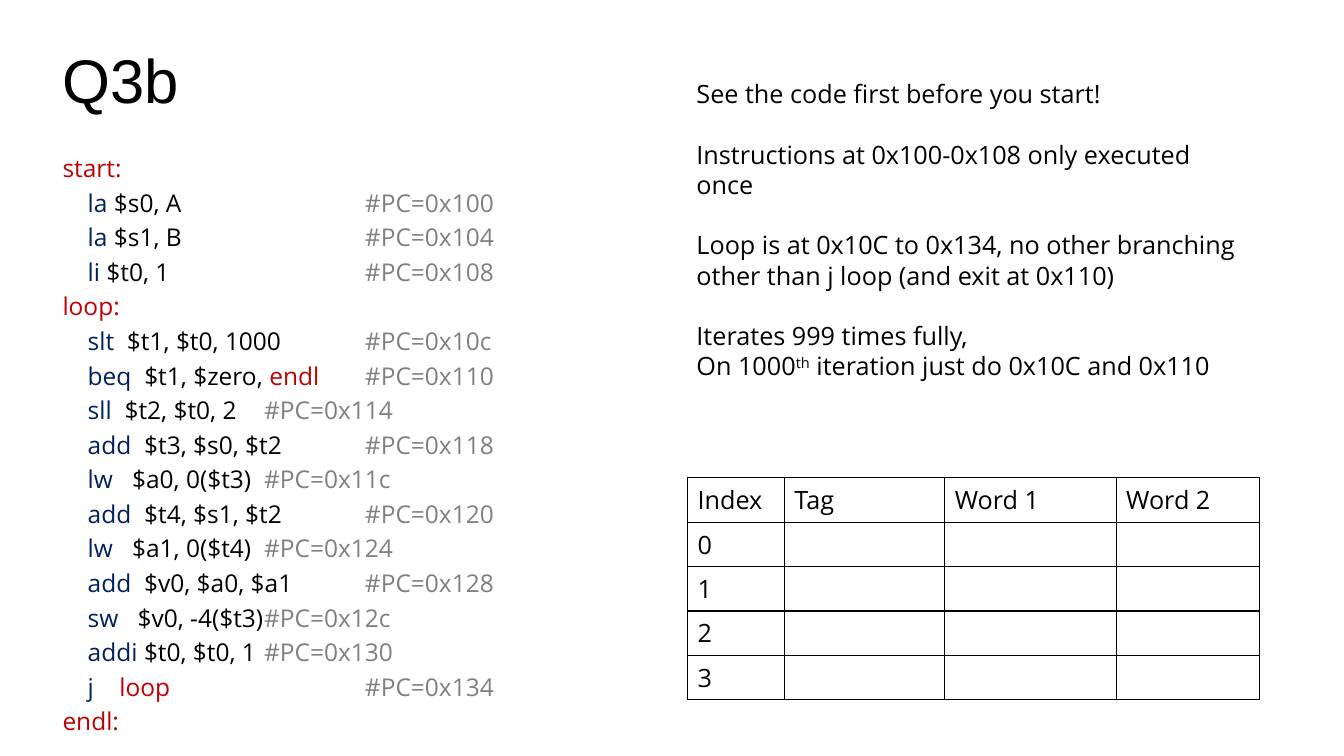
from lxml.etree import SubElement
from pptx import Presentation
from pptx.dml.color import RGBColor
from pptx.enum.text import MSO_ANCHOR, MSO_AUTO_SIZE, PP_ALIGN
from pptx.oxml.ns import qn
from pptx.util import Inches, Pt

BLACK, RED, NAVY, GRAY = "000000", "C00000", "002060", "808080"
CODE_FONT = "Open Sans"

CODE = [
    ("start:",),
    ("la", " $s0, A", "", "\t\t#PC=0x100"),
    ("la", " $s1, B", "", "\t\t#PC=0x104"),
    ("li", " $t0, 1", "", "\t\t#PC=0x108"),
    ("loop:",),
    ("slt", "  $t1, $t0, 1000", "", "\t#PC=0x10c"),
    ("beq", "  $t1, $zero, ", "endl", "\t#PC=0x110"),
    ("sll", "  $t2, $t0, 2", "", "\t#PC=0x114"),
    ("add", "  $t3, $s0, $t2", "", "\t#PC=0x118"),
    ("lw", "   $a0, 0($t3)", "", "\t#PC=0x11c"),
    ("add", "  $t4, $s1, $t2", "", "\t#PC=0x120"),
    ("lw", "   $a1, 0($t4)", "", "\t#PC=0x124"),
    ("add", "  $v0, $a0, $a1", "", "\t#PC=0x128"),
    ("sw", "   $v0, -4($t3)", "", "\t#PC=0x12c"),
    ("addi", " $t0, $t0, 1", "", "\t#PC=0x130"),
    ("j", "    ", "loop", "\t\t#PC=0x134"),
    ("endl:",),
]
NOTES = [
    ["See the code first before you start!"],
    ["Instructions at 0x100-0x108 only executed once"],
    ["Loop is at 0x10C to 0x134, no other branching "
     "other than j loop (and exit at 0x110)"],
    ["Iterates 999 times fully,"],
    ["On 1000", "th", " iteration just do 0x10C and 0x110"],
]
HEADINGS = ["Index", "Tag", "Word 1", "Word 2"]
COLUMN_WIDTHS = [0.96, 1.59, 1.7, 1.42]
CACHE_SETS = 4


def color(value):
    """Turn a hex string into a colour."""
    return RGBColor.from_string(value)


def style(font, size, ink=BLACK, name=CODE_FONT):
    """Set the size, colour and typeface of a font."""
    font.size, font.name = Pt(size), name
    font.color.rgb = color(ink)


def place(shape, box):
    """Move a shape to a box given in inches."""
    shape.left, shape.top, shape.width, shape.height = map(Inches, box)


def add_span(para, text, size, ink=BLACK):
    """Append a styled run to a paragraph."""
    span = para.add_run()
    span.text = text
    style(span.font, size, ink)
    return span


def paragraphs(frame, count):
    """Yield the first paragraph of a frame, then new ones up to count."""
    yield frame.paragraphs[0]
    for _ in range(count - 1):
        yield frame.add_paragraph()


def fill_title(title, box):
    """Write the question number."""
    place(title, box)
    frame = title.text_frame
    frame.text = "Q3b"
    frame.vertical_anchor = MSO_ANCHOR.MIDDLE
    frame.auto_size = MSO_AUTO_SIZE.NONE
    para = frame.paragraphs[0]
    para.alignment, para.line_spacing = PP_ALIGN.LEFT, 0.9
    style(para.runs[0].font, 44, name="Arial")


def set_layout(para, indent):
    """Remove the bullet, set the first-line indent and one-inch tabs."""
    props = para._p.get_or_add_pPr()
    props.set("marL", "0")
    props.set("indent", str(Inches(indent)))
    props.set("defTabSz", str(Inches(1)))
    SubElement(props, qn("a:buNone"))


def fill_code(body, box):
    """Write the assembly listing with its address comments."""
    place(body, box)
    frame = body.text_frame
    frame.auto_size = MSO_AUTO_SIZE.NONE
    for para, line in zip(paragraphs(frame, len(CODE)), CODE):
        para.line_spacing, para.space_before = 0.7, Pt(10)
        is_label = len(line) == 1
        set_layout(para, 0 if is_label else 0.25)
        inks = [RED] if is_label else [NAVY, BLACK, RED, GRAY]
        for text, ink in zip(line, inks):
            if text:
                add_span(para, text, 17.5, ink)


def add_notes(slide, box):
    """Add the remarks on how the code runs."""
    frame = slide.shapes.add_textbox(*map(Inches, box)).text_frame
    frame.word_wrap = True
    for number, para in enumerate(paragraphs(frame, len(NOTES))):
        if 0 < number < len(NOTES) - 1:
            para.space_before = Pt(21.6)
        for text in NOTES[number]:
            span = add_span(para, text, 18)
            if text == "th":
                span.font._element.set("baseline", "30000")


def set_borders(cell):
    """Draw a thin black line on each side of a cell."""
    props = cell._tc.get_or_add_tcPr()
    for side in ("lnL", "lnR", "lnT", "lnB"):
        line = SubElement(props, qn(f"a:{side}"), w=str(Pt(1)))
        fill = SubElement(line, qn("a:solidFill"))
        SubElement(fill, qn("a:srgbClr"), val=BLACK)


def add_cache_table(slide, box):
    """Add the empty cache table with its set indexes."""
    rows = [HEADINGS] + [[str(index), "", "", ""] for index in range(CACHE_SETS)]
    frame = slide.shapes.add_table(len(rows), len(HEADINGS), *map(Inches, box))
    table = frame.table
    table.first_row = table.horz_banding = False
    for column, width in zip(table.columns, COLUMN_WIDTHS):
        column.width = Inches(width)
    for row, texts in enumerate(rows):
        for column, text in enumerate(texts):
            cell = table.cell(row, column)
            cell.text = text
            for span in cell.text_frame.paragraphs[0].runs:
                style(span.font, 18)
            set_borders(cell)
            cell.fill.background()


def build_question(deck):
    """Build the question slide."""
    slide = deck.slides.add_slide(deck.slide_layouts[1])
    title, body = slide.placeholders
    fill_title(title, (0.52, 0.1, 1.4, 1.45))
    fill_code(body, (0.52, 1.55, 6.06, 6.36))
    add_cache_table(slide, (6.82, 4.74, 5.67, 2.03))
    add_notes(slide, (6.81, 0.73, 5.67, 2.83))


def main():
    """Create and save the deck."""
    deck = Presentation()
    deck.slide_width, deck.slide_height = Inches(13.33), Inches(7.5)
    build_question(deck)
    deck.save("out.pptx")


if __name__ == "__main__":
    main()
